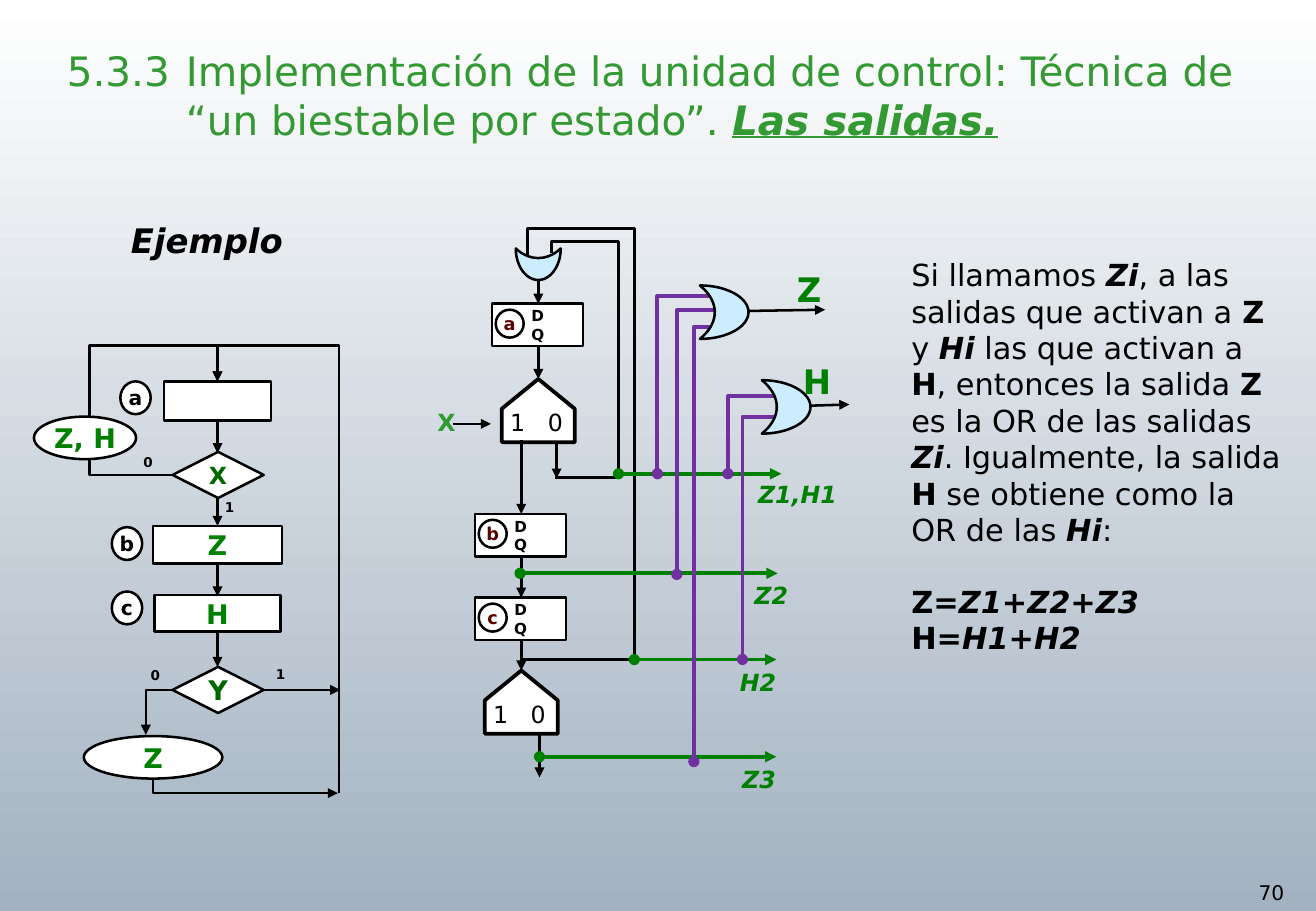
"""Build the slide on the outputs of a one-flip-flop-per-state control unit."""
from lxml import etree
from pptx import Presentation
from pptx.dml.color import RGBColor
from pptx.enum import shapes, text
from pptx.oxml import ns
from pptx.util import Inches, Pt

FONT = "DejaVu Sans"
BLACK = RGBColor(0x00, 0x00, 0x00)
WHITE = RGBColor(0xFF, 0xFF, 0xFF)
SLATE = RGBColor(0xA3, 0xB2, 0xC1)
TITLE_GREEN = RGBColor(0x33, 0x99, 0x33)
GREEN = RGBColor(0x00, 0x80, 0x00)
DARK_GREEN = RGBColor(0x00, 0x66, 0x00)
MAROON = RGBColor(0x5C, 0x00, 0x00)
PURPLE = RGBColor(0x70, 0x30, 0xA0)
PALE_BLUE = RGBColor(0xCC, 0xEC, 0xFF)
MSO = shapes.MSO_SHAPE
LINK = shapes.MSO_CONNECTOR


def sub(parent, tag, **attrs):
    return etree.SubElement(parent, ns.qn(tag), attrs)


def set_font(p, size, color, bold=False, italic=False):
    p.font.name, p.font.size = FONT, Pt(size)
    p.font.bold, p.font.italic = bold, italic
    p.font.color.rgb = color


def add_runs(p, parts):
    for words, style in parts:
        r = p.add_run()
        r.text = words
        if "b" in style:
            r.font.bold = True
        if "i" in style:
            r.font.italic = True
        if "u" in style:
            r.font.underline = True


def no_insets(tf):
    tf.margin_left = tf.margin_top = tf.margin_right = tf.margin_bottom = 0


def label(s, x, y, w, h, words, size, color=BLACK, bold=True, italic=False):
    tf = s.shapes.add_textbox(Inches(x), Inches(y), Inches(w), Inches(h)).text_frame
    tf.word_wrap = False
    tf.auto_size = text.MSO_AUTO_SIZE.SHAPE_TO_FIT_TEXT
    p = tf.paragraphs[0]
    p.text = words
    set_font(p, size, color, bold, italic)
    return tf


def box(s, kind, x, y, w, h, lines=(), size=16, color=GREEN, fill=WHITE, weight=1.5):
    sp = s.shapes.add_shape(kind, Inches(x), Inches(y), Inches(w), Inches(h))
    sp.shadow.inherit = False
    sp.fill.solid()
    sp.fill.fore_color.rgb = fill
    sp.line.color.rgb, sp.line.width = BLACK, Pt(weight)
    tf = sp.text_frame
    no_insets(tf)
    tf.vertical_anchor = text.MSO_ANCHOR.MIDDLE
    for i, words in enumerate(lines):
        p = tf.add_paragraph() if i else tf.paragraphs[0]
        p.text, p.alignment = words, text.PP_ALIGN.CENTER
        set_font(p, size, color, True)
    return sp


def wire(s, begin, end, color=BLACK, weight=1.5, head=None, tail="triangle", kind=LINK.STRAIGHT):
    c = s.shapes.add_connector(kind, *[Inches(v) for v in (*begin, *end)])
    c.line.color.rgb, c.line.width = color, Pt(weight)
    ln = c.line._get_or_add_ln()
    if head:
        sub(ln, "a:headEnd", type=head)
    if tail:
        sub(ln, "a:tailEnd", type=tail)
    sub(c._element.spPr, "a:effectLst")
    return c


def elbow(s, begin, end, turns, adjusts=(), legs=3, **style):
    """Draw a bent connector whose frame is turned by quarter turns."""
    cx, cy = (begin[0] + end[0]) / 2, (begin[1] + end[1]) / 2
    dx, dy = begin[0] - cx, begin[1] - cy
    for _ in range(turns):
        dx, dy = dy, -dx
    c = wire(s, (cx + dx, cy + dy), (cx - dx, cy - dy), kind=LINK.ELBOW, **style)
    spPr = c._element.spPr
    spPr.find(ns.qn("a:xfrm")).set("rot", str(turns * 5400000))
    geom = spPr.find(ns.qn("a:prstGeom"))
    geom.set("prst", f"bentConnector{legs}")
    for old in list(geom):
        geom.remove(old)
    guides = sub(geom, "a:avLst")
    for i, a in enumerate(adjusts, 1):
        name = f"adj{i}" if legs != 2 else "adj"
        sub(guides, "a:gd", name=name, fmla=f"val {round(a * 100000)}")


def feedback(s, points):
    pts = [(Inches(x), Inches(y)) for x, y in points]
    fb = s.shapes.build_freeform(*pts[0])
    fb.add_line_segments(pts[1:], close=False)
    sp = fb.convert_to_shape()
    sp.shadow.inherit = False
    sp.fill.background()
    sp.line.color.rgb, sp.line.width = BLACK, Pt(1.5)


def or_gate(s, x, y, w, h, rotation):
    sp = box(s, MSO.MOON, x, y, w, h, fill=PALE_BLUE)
    sp.adjustments[0], sp.rotation = 0.694, rotation


def flip_flop(s, x, y, state):
    box(s, MSO.RECTANGLE, x, y, 0.75, 0.35, "DQ", 9, BLACK)
    box(s, MSO.OVAL, x + 0.03, y + 0.05, 0.23, 0.23, state, 10.5, MAROON)


def selector(s, x, y):
    sp = box(s, MSO.PENTAGON, x, y, 0.52, 0.6, weight=2.25)
    sp.adjustments[0], sp.rotation = 0.471, 270
    tf = label(s, x - 0.07, y + 0.23, 0.66, 0.34, "1\t0", 14, bold=False)
    tabs = etree.Element(ns.qn("a:tabLst"))
    sub(tabs, "a:tab", pos=str(Inches(0.31)), algn="l")
    tf.paragraphs[0]._p.get_or_add_pPr().insert(0, tabs)


def add_title(s):
    t = s.shapes.title
    t.left, t.top, t.width, t.height = Inches(0.45), Inches(0.39), Inches(10.38), Inches(0.84)
    tf = t.text_frame
    tf.auto_size, tf.vertical_anchor = text.MSO_AUTO_SIZE.NONE, text.MSO_ANCHOR.BOTTOM
    p = tf.paragraphs[0]
    p.alignment = text.PP_ALIGN.LEFT
    pPr = p._p.get_or_add_pPr()
    pPr.set("marL", str(Inches(0.98)))
    pPr.set("indent", str(-Inches(0.98)))
    set_font(p, 24, TITLE_GREEN)
    add_runs(p, [("5.3.3\tImplementación de la unidad de control: Técnica de", "")])
    p.add_line_break()
    add_runs(p, [("“un biestable por estado”. ", ""), ("Las salidas.", "biu")])


def add_explanation(s):
    tf = s.shapes.add_textbox(Inches(7.5), Inches(2.11), Inches(3.06), Inches(3.33)).text_frame
    tf.word_wrap = True
    no_insets(tf)
    paragraphs = [
        [("Si llamamos ", ""), ("Zi", "bi"), (", a las salidas que activan a ", ""), ("Z", "b"),
         (" y ", ""), ("Hi", "bi"), (" las que activan a ", ""), ("H", "b"),
         (", entonces la salida ", ""), ("Z", "b"), (" es la OR de las salidas ", ""),
         ("Zi", "bi"), (". Igualmente, la salida ", ""), ("H", "b"),
         (" se obtiene como la OR de las ", ""), ("Hi", "bi"), (":", "")],
        [("Z=", "b"), ("Z1+Z2+Z3", "bi")],
        [("H=", "b"), ("H1+H2", "bi")]]
    for i, parts in enumerate(paragraphs):
        p = tf.add_paragraph() if i else tf.paragraphs[0]
        p.space_before = Pt(21 if i == 1 else 0)
        set_font(p, 18, BLACK)
        add_runs(p, parts)


def add_circuit(s):
    for x, y, state in ((4.05, 2.5, "a"), (3.91, 4.23, "b"), (3.91, 4.92, "c")):
        flip_flop(s, x, y, state)
    selector(s, 4.17, 3.08)
    selector(s, 4.03, 5.48)
    label(s, 3.5, 3.31, 0.35, 0.34, "X", 14, TITLE_GREEN)
    wire(s, (3.73, 3.49), (4.04, 3.49), weight=0.75)
    for x, top, bottom in ((4.43, 2.3, 2.5), (4.43, 2.85, 3.12), (4.58, 3.64, 3.94),
                           (4.29, 3.62, 4.23), (4.29, 4.57, 4.92), (4.29, 5.27, 5.52),
                           (4.44, 6.05, 6.4)):
        wire(s, (x, top), (x, bottom))
    feedback(s, [(4.57, 3.93), (5.09, 3.93), (5.09, 1.99), (4.54, 1.99), (4.54, 2.08)])
    feedback(s, [(4.29, 5.43), (5.22, 5.43), (5.22, 1.88), (4.34, 1.88), (4.34, 2.11)])
    or_gate(s, 4.3, 1.99, 0.26, 0.37, 270)
    for x, y, end, lx, ly, w, name in (
            (5.09, 3.9, 6.43, 6.14, 3.9, 0.85, "Z1,H1"), (4.28, 4.72, 6.4, 6.11, 4.73, 0.48, "Z2"),
            (5.22, 5.43, 6.39, 5.99, 5.45, 0.51, "H2"), (4.44, 6.23, 6.39, 6.01, 6.25, 0.48, "Z3")):
        wire(s, (x, y), (end, y), GREEN, 2.25, head="oval")
        label(s, lx, ly, w, 0.34, name, 14, GREEN, italic=True)
    for begin, end, adjust in (
            ((5.41, 3.9), (5.94, 2.41), 0.983), ((5.57, 4.73), (5.94, 2.56), 1.003),
            ((5.71, 6.27), (5.94, 2.69), 1), ((5.99, 3.9), (6.42, 3.31), 1.083),
            ((6.11, 5.43), (6.43, 3.46), 1.014)):
        elbow(s, begin, end, 1, [adjust], color=PURPLE, weight=2.25, head="oval", tail=None)
    for x, y, end, lx, ly, name in ((5.76, 2.35, 6.79, 6.46, 2.16, "Z"),
                                    (6.27, 3.13, 6.99, 6.51, 2.92, "H")):
        or_gate(s, x, y, 0.4, 0.44, 180)
        wire(s, (x + 0.4, y + 0.21), (end, y + 0.2))
        label(s, lx, ly, 0.4, 0.44, name, 20, GREEN)


def add_flowchart(s):
    for x, y, w, h, lines in ((1.35, 3.14, 0.88, 0.32, []), (1.26, 4.33, 1.06, 0.31, ["Z"]),
                              (1.27, 4.9, 1.04, 0.3, ["H"])):
        box(s, MSO.RECTANGLE, x, y, w, h, lines)
    for y, name, size in ((3.72, "X", 14), (5.49, "Y", 16)):
        box(s, MSO.FLOWCHART_DECISION, 1.42, y, 0.75, 0.38, [name], size, DARK_GREEN)
    for x, y, state in ((0.99, 3.14, "a"), (0.92, 4.34, "b"), (0.92, 4.87, "c")):
        box(s, MSO.OVAL, x, y, 0.25, 0.27, state, 12, BLACK)
    for top, bottom in ((3.46, 3.73), (4.1, 4.33), (4.64, 4.91), (5.2, 5.49)):
        wire(s, (1.79, top), (1.79, bottom))
    wire(s, (2.17, 5.68), (2.8, 5.68))
    elbow(s, (1.42, 5.68), (1.2, 6.05), 2, legs=2)
    elbow(s, (1.26, 6.41), (2.78, 6.53), 3, legs=2)
    elbow(s, (1.42, 3.91), (1.79, 3.14), 2, [-1.85, 1.382], legs=4)
    elbow(s, (2.79, 6.53), (1.79, 3.14), 3, [1.087])
    box(s, MSO.OVAL, 0.69, 6.06, 1.14, 0.35, ["Z"])
    box(s, MSO.OVAL, 0.28, 3.43, 0.84, 0.35, ["Z, H"])
    for x, y, bit in ((1.24, 5.49, "0"), (2.27, 5.48, "1"), (1.18, 3.74, "0"), (1.85, 4.11, "1")):
        no_insets(label(s, x, y, 0.13, 0.19, bit, 8))


def main():
    prs = Presentation()
    prs.slide_width, prs.slide_height = Inches(10.83), Inches(7.5)
    s = prs.slides.add_slide(prs.slide_layouts[5])
    fill = s.background.fill
    fill.gradient()
    fill.gradient_angle = 270
    for stop, color in zip(fill.gradient_stops, (WHITE, SLATE)):
        stop.color.rgb = color
    add_title(s)
    add_explanation(s)
    add_circuit(s)
    add_flowchart(s)
    label(s, 0.98, 1.76, 1.57, 0.44, "Ejemplo", 20, italic=True)
    label(s, 10.26, 7.2, 0.57, 0.3, "70", 12, bold=False)
    prs.save("out.pptx")


main()
